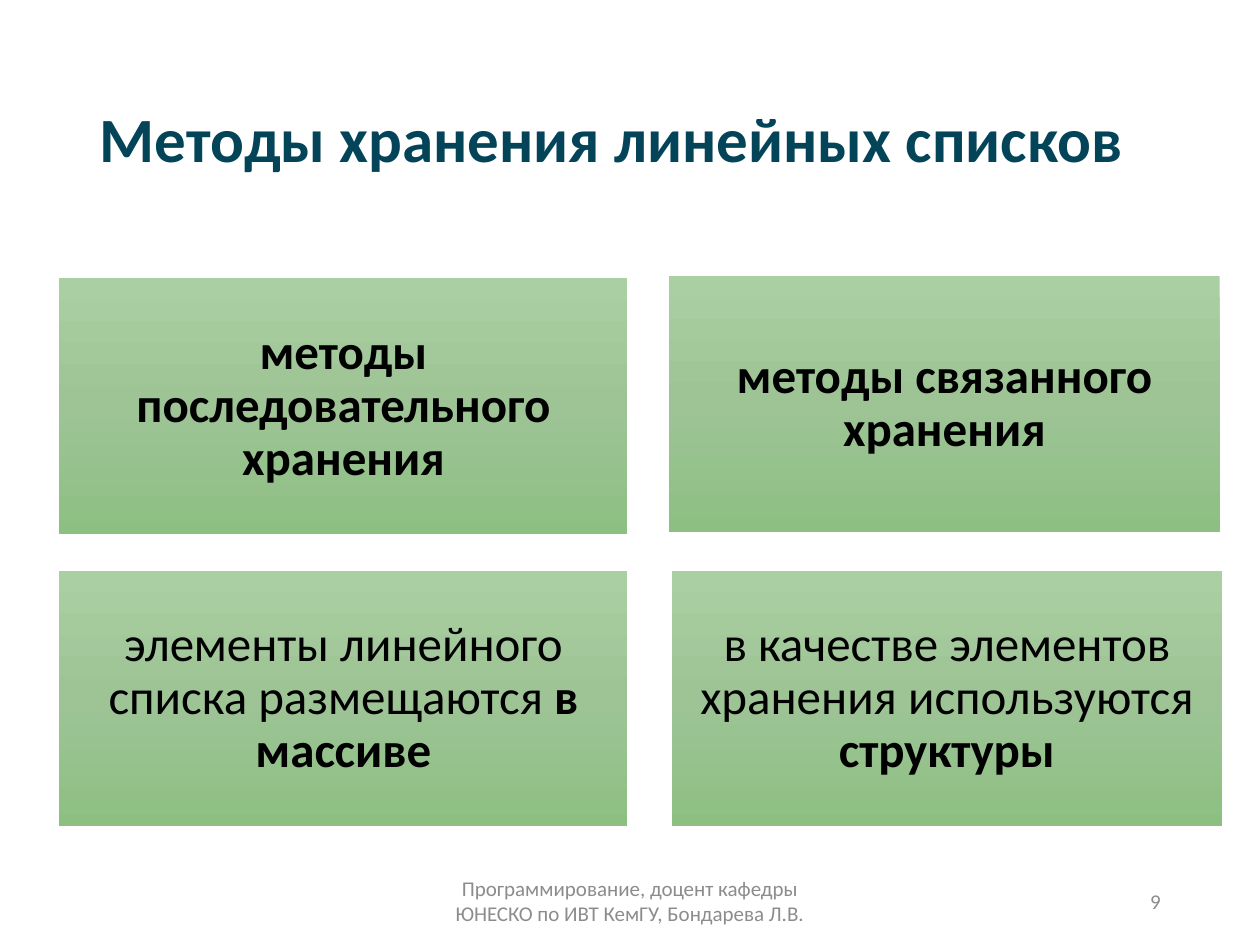
from copy import deepcopy

from pptx import Presentation
from pptx.dml.color import RGBColor
from pptx.enum.shapes import MSO_SHAPE as Shape
from pptx.enum.text import MSO_ANCHOR as Anchor, PP_ALIGN as Align
from pptx.oxml.ns import qn
from pptx.util import Inches, Pt

COLORS = {
    "title": "044458",
    "text": "000000",
    "footer": "8C8C8C",
    "card_top": "AACFA2",
    "card_middle": "9EC496",
    "card_bottom": "8DBF82",
}
FONT = "Calibri"
CARD_HEIGHT = 2.03

# Each card: box (left, top, width, height) and text runs (wording, bold)
CARDS = [
    ((0.47, 2.21, 4.51, CARD_HEIGHT),
     [("методы последовательного хранения", True)]),
    ((0.47, 4.53, 4.51, CARD_HEIGHT),
     [("элементы линейного списка размещаются ", False), ("в массиве", True)]),
    ((5.31, 2.19, 4.37, CARD_HEIGHT),
     [("методы связанного хранения", True)]),
    ((5.33, 4.53, 4.37, CARD_HEIGHT),
     [("в качестве элементов хранения используются ", False), ("структуры", True)]),
]


def to_inches(box):
    return [Inches(length) for length in box]


def style_paragraph(paragraph, size, color, align):
    paragraph.alignment = align
    font = paragraph.font
    font.name, font.size = FONT, Pt(size)
    font.color.rgb = RGBColor.from_string(COLORS[color])


def add_title(slide, box, wording):
    title = slide.shapes.title
    title.left, title.top, title.width, title.height = to_inches(box)
    frame = title.text_frame
    frame.text = wording
    frame.vertical_anchor = Anchor.MIDDLE
    paragraph = frame.paragraphs[0]
    style_paragraph(paragraph, 36, "title", Align.LEFT)
    paragraph.font.bold = True
    paragraph.line_spacing = 0.9


def fill_with_gradient(card):
    """Give the card a three-stop gradient from top to bottom."""
    card.fill.gradient()
    card.fill.gradient_angle = 270
    stop_list = next(card._element.iter(qn("a:gsLst")))
    stop_list.insert(1, deepcopy(stop_list[0]))
    names = ("card_top", "card_middle", "card_bottom")
    for index, (stop, name) in enumerate(zip(card.fill.gradient_stops, names)):
        stop.position = index / 2
        stop.color.rgb = RGBColor.from_string(COLORS[name])


def add_card(slide, box, runs):
    card = slide.shapes.add_shape(Shape.RECTANGLE, *to_inches(box))
    card.shadow.inherit = False
    card.line.fill.background()
    fill_with_gradient(card)
    frame = card.text_frame
    frame.word_wrap = True
    frame.vertical_anchor = Anchor.MIDDLE
    frame.margin_left = frame.margin_right = Inches(0.12)
    frame.margin_top = frame.margin_bottom = Inches(0.12)
    paragraph = frame.paragraphs[0]
    style_paragraph(paragraph, 28, "text", Align.CENTER)
    paragraph.line_spacing = 0.9
    for wording, bold in runs:
        run = paragraph.add_run()
        run.text = wording
        run.font.bold = bold


def add_footer(slide, box, wording, align):
    frame = slide.shapes.add_textbox(*to_inches(box)).text_frame
    frame.word_wrap = True
    frame.vertical_anchor = Anchor.MIDDLE
    frame.text = wording
    style_paragraph(frame.paragraphs[0], 12, "footer", align)


def main():
    deck = Presentation()
    deck.slide_width, deck.slide_height = Inches(10), Inches(7.5)
    slide = deck.slides.add_slide(deck.slide_layouts.get_by_name("Title Only"))
    add_title(slide, (0.69, 0.4, 8.62, 1.45), "Методы хранения линейных списков")
    for box, runs in CARDS:
        add_card(slide, box, runs)
    add_footer(slide, (3.31, 6.95, 3.38, 0.4),
               "Программирование, доцент кафедры ЮНЕСКО по ИВТ КемГУ, Бондарева Л.В.",
               Align.CENTER)
    add_footer(slide, (7.06, 6.95, 2.25, 0.4), "9", Align.RIGHT)
    deck.save("out.pptx")


if __name__ == "__main__":
    main()
